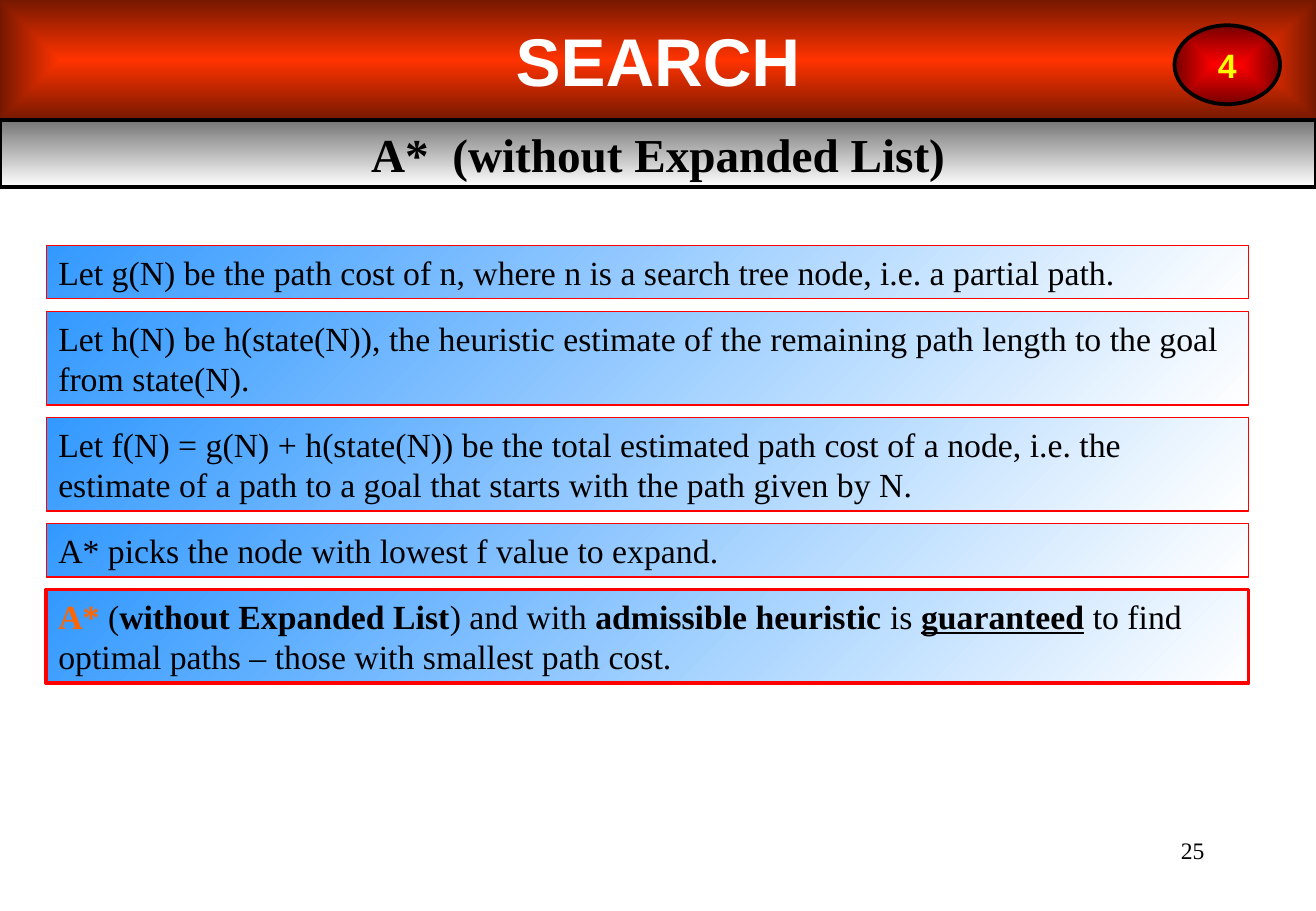
import pptx
import pptx.dml.color
import pptx.enum.shapes
import pptx.enum.text
import pptx.oxml
import pptx.oxml.ns
import pptx.util

Cm = pptx.util.Cm
Pt = pptx.util.Pt
ALIGN = pptx.enum.text.PP_ALIGN
ANCHOR = pptx.enum.text.MSO_ANCHOR
SHAPE = pptx.enum.shapes.MSO_SHAPE

SLIDE_WIDTH, SLIDE_HEIGHT = 27.53, 19.05
SERIF, SANS = "Times New Roman", "Arial"
BLACK, RED, ORANGE = "000000", "FF0000", "FF6600"

# Each statement: lines of text, border width, runs of (text, style)
STATEMENTS = [
    (1, 0.75, [("Let g(N) be the path cost of n, where n is a search tree node, "
                "i.e. a partial path.", "")]),
    (2, 0.75, [("Let h(N) be h(state(N)), the heuristic estimate of the remaining "
                "path length to the goal from state(N).", "")]),
    (2, 0.75, [("Let f(N) = g(N) + h(state(N)) be the total estimated path cost of "
                "a node, i.e. the estimate of a path to a goal that starts with "
                "the path given by N.", "")]),
    (1, 0.75, [("A* picks the node with lowest f value to expand.", "")]),
    (2, 2.25, [("A* ", "bold accent"), ("(", ""), ("without Expanded List", "bold"),
               (") and with ", ""), ("admissible heuristic ", "bold"), ("is ", ""),
               ("guaranteed", "bold underline"),
               (" to find optimal paths – those with smallest path cost.", "")]),
]
BOX_HEIGHTS = {1: 1.12, 2: 1.96}
BOX_GAP = 0.26


def rgb(value):
    return pptx.dml.color.RGBColor.from_string(value)


def fill_gradient(shape, first, last, angle=None):
    """Fill linearly at a clockwise angle, or outward from the centre without one."""
    shape.fill.gradient()
    for stop, color in zip(shape.fill.gradient_stops, (first, last)):
        stop.color.rgb = rgb(color)
    if angle is not None:
        shape.fill.gradient_angle = 360 - angle
        return
    linear = shape._element.spPr.find(".//" + pptx.oxml.ns.qn("a:lin"))
    centred = pptx.oxml.parse_xml(
        f'<a:path {pptx.oxml.ns.nsdecls("a")} path="rect">'
        '<a:fillToRect l="50000" t="50000" r="50000" b="50000"/></a:path>')
    linear.getparent().replace(linear, centred)


def outline(shape, color, width):
    shape.line.color.rgb = rgb(color)
    shape.line.width = Pt(width)


def add_panel(slide, kind, box):
    panel = slide.shapes.add_shape(kind, *map(Cm, box))
    panel.shadow.inherit = False
    return panel


def write(shape, text, font_name, size, color, bold=False,
          align=ALIGN.CENTER, anchor=ANCHOR.MIDDLE):
    frame = shape.text_frame
    frame.word_wrap = True
    frame.auto_size = pptx.enum.text.MSO_AUTO_SIZE.NONE
    frame.vertical_anchor = anchor
    paragraph = frame.paragraphs[0]
    paragraph.text = text
    paragraph.alignment = align
    font = paragraph.font
    font.name, font.size, font.bold = font_name, Pt(size), bold
    font.color.rgb = rgb(color)
    return paragraph


def add_header(slide, left, top, width, height):
    title = slide.shapes.title
    title.left, title.top, title.width, title.height = map(
        Cm, (left, top, width, height))
    fill_gradient(title, "FF3300", "761800")
    write(title, "SEARCH", SANS, 40, "FFFFFF", bold=True)

    badge_width, badge_height = 2.21, 1.65
    badge = add_panel(slide, SHAPE.OVAL, (left + width - badge_width - 0.75,
                                          top + 0.53, badge_width, badge_height))
    fill_gradient(badge, RED, "760000")
    outline(badge, BLACK, 2.25)
    write(badge, "4", SANS, 20, "FFFF00", bold=True)
    badge.text_frame.word_wrap = False


def add_subtitle_bar(slide, left, top, width, height):
    bar = add_panel(slide, SHAPE.RECTANGLE, (left, top, width, height))
    fill_gradient(bar, "767676", "FFFFFF", angle=90)
    outline(bar, BLACK, 2.25)
    write(bar, "A*  (without Expanded List)", SERIF, 28, BLACK, bold=True)


def add_statements(slide, left, top, width):
    """Stack the statement boxes downwards from the given top."""
    for line_count, border, runs in STATEMENTS:
        height = BOX_HEIGHTS[line_count]
        statement = add_panel(slide, SHAPE.RECTANGLE, (left, top, width, height))
        fill_gradient(statement, "3399FF", "FFFFFF", angle=45)
        outline(statement, RED, border)
        paragraph = write(statement, "", SERIF, 20, BLACK,
                          align=ALIGN.LEFT, anchor=ANCHOR.TOP)
        for text, style in runs:
            run = paragraph.add_run()
            run.text = text
            if "bold" in style:
                run.font.bold = True
            if "underline" in style:
                run.font.underline = True
            if "accent" in style:
                run.font.color.rgb = rgb(ORANGE)
        top += height + BOX_GAP


def add_page_number(slide, left, top, width, height):
    page_number = slide.shapes.add_textbox(*map(Cm, (left, top, width, height)))
    write(page_number, "25", SERIF, 14, BLACK, align=ALIGN.RIGHT, anchor=ANCHOR.TOP)


def main():
    presentation = pptx.Presentation()
    presentation.slide_width = Cm(SLIDE_WIDTH)
    presentation.slide_height = Cm(SLIDE_HEIGHT)
    title_only = presentation.slide_layouts[5]
    slide = presentation.slides.add_slide(title_only)

    header_height = 2.51
    add_page_number(slide, 19.71, 17.35, 5.74, 1.27)
    add_header(slide, 0, 0, SLIDE_WIDTH, header_height)
    add_subtitle_bar(slide, 0, header_height, SLIDE_WIDTH, 1.4)
    add_statements(slide, 0.97, 5.13, 25.15)
    presentation.save("out.pptx")


if __name__ == "__main__":
    main()
